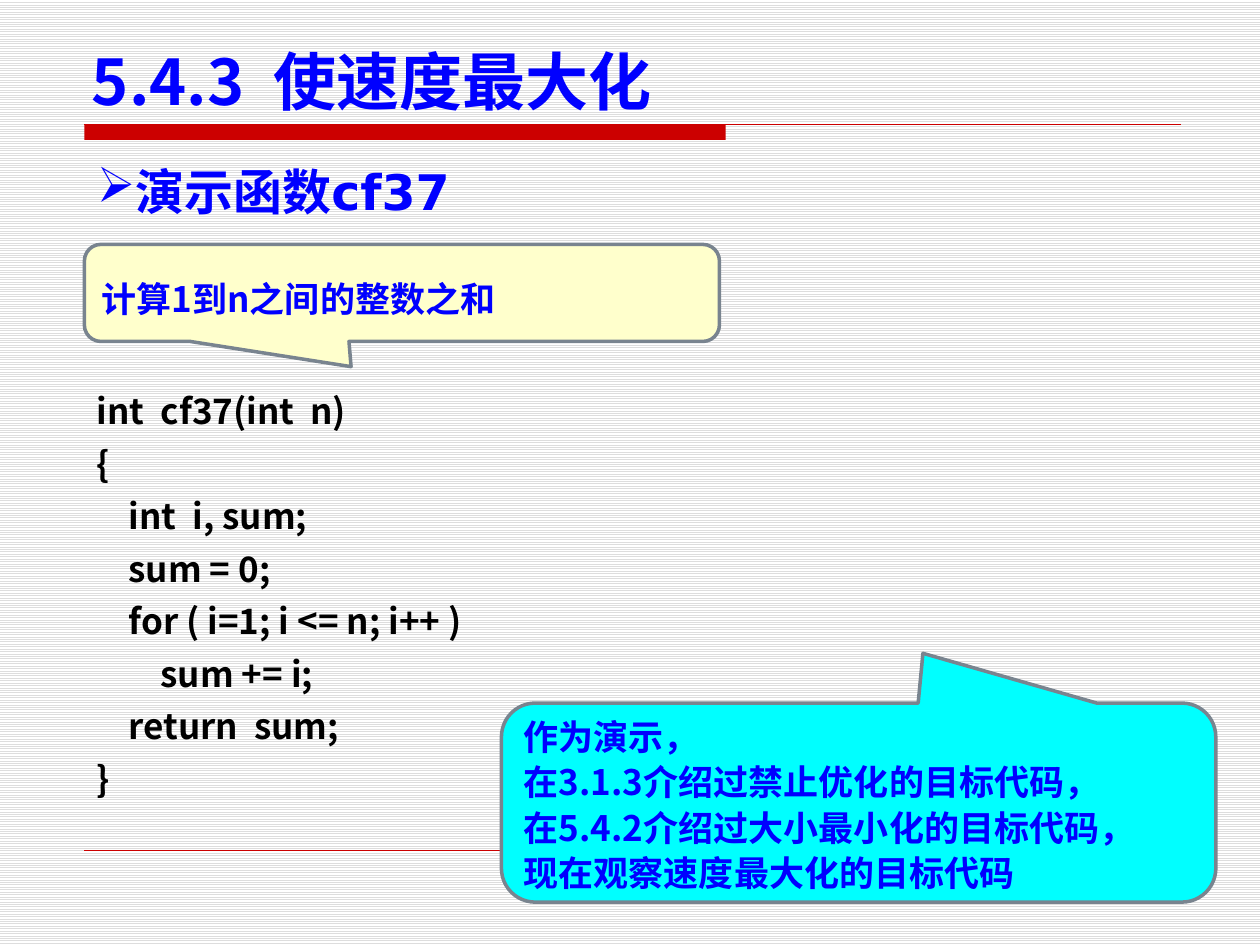
from lxml.etree import SubElement
from pptx import Presentation
from pptx.dml.color import RGBColor
from pptx.enum.dml import MSO_PATTERN
from pptx.enum.shapes import MSO_CONNECTOR, MSO_SHAPE
from pptx.enum.text import MSO_ANCHOR, MSO_AUTO_SIZE, PP_ALIGN
from pptx.oxml.ns import qn
from pptx.util import Inches, Pt

COLORS = {
    "red": "CC0000", "blue": "0000FF", "black": "000000", "white": "FFFFFF",
    "stripe": "DDDDDD", "yellow": "FFFFCC", "cyan": "00FFFF", "outline": "79848F",
}
SANS = "Noto Sans CJK SC"
LEFT = 0.67

TITLE = "5.4.3  使速度最大化"
HEADING = "演示函数cf37"
CODE = [
    "int  cf37(int  n)",
    "{",
    "    int  i, sum;",
    "    sum = 0;",
    "    for ( i=1; i <= n; i++ )",
    "        sum += i;",
    "    return  sum;",
    "}",
]
RULES = [(0.99, 9.37, 0.75), (6.75, 9.33, 0.25)]
CALLOUTS = [
    {"box": (LEFT, 1.94, 5.04, 0.77), "tail": (-0.08, 0.76, 0.17),
     "fill": "yellow", "spacing": 30, "lines": ["计算1到n之间的整数之和"]},
    {"box": (3.98, 5.58, 5.67, 1.58), "tail": (0.09, -0.75, 0.17),
     "fill": "cyan", "spacing": 26, "lines": [
         "作为演示，",
         "在3.1.3介绍过禁止优化的目标代码，",
         "在5.4.2介绍过大小最小化的目标代码，",
         "现在观察速度最大化的目标代码",
     ]},
]


def color(name):
    return RGBColor.from_string(COLORS[name])


def write(shape, lines, size, ink="blue", font=SANS, spacing=None,
          anchor=MSO_ANCHOR.TOP, align=PP_ALIGN.LEFT, bullet=None):
    frame = shape.text_frame
    frame_format = {"word_wrap": True, "auto_size": MSO_AUTO_SIZE.NONE,
                    "vertical_anchor": anchor}
    for name, value in frame_format.items():
        setattr(frame, name, value)
    for index, line in enumerate(lines):
        paragraph = frame.add_paragraph() if index else frame.paragraphs[0]
        paragraph.alignment = align
        if spacing:
            paragraph.line_spacing = Pt(spacing)
        if bullet:
            properties = paragraph._p.get_or_add_pPr()
            SubElement(properties, qn("a:buChar")).set("char", bullet)
        run = paragraph.add_run()
        run.text = line
        font_format = {"size": Pt(size), "bold": True, "name": font}
        for name, value in font_format.items():
            setattr(run.font, name, value)
        run.font.color.rgb = color(ink)
        SubElement(run._r.get_or_add_rPr(), qn("a:ea")).set("typeface", SANS)


def add_rule(slide, top, right, width):
    rule = slide.shapes.add_connector(
        MSO_CONNECTOR.STRAIGHT, *map(Inches, (LEFT, top, right, top)))
    rule.line.color.rgb = color("red")
    rule.line.width = Pt(width)
    SubElement(rule._element.spPr, qn("a:effectLst"))


def add_filled(slide, kind, box, fill):
    shape = slide.shapes.add_shape(kind, *map(Inches, box))
    shape.shadow.inherit = False
    shape.fill.solid()
    shape.fill.fore_color.rgb = color(fill)
    return shape


def add_callout(slide, callout):
    shape = add_filled(slide, MSO_SHAPE.ROUNDED_RECTANGULAR_CALLOUT,
                       callout["box"], callout["fill"])
    for index, value in enumerate(callout["tail"]):
        shape.adjustments[index] = value
    shape.line.color.rgb = color("outline")
    shape.line.width = Pt(2)
    write(shape, callout["lines"], 20, spacing=callout["spacing"],
          anchor=MSO_ANCHOR.MIDDLE)


def main():
    """Build the slide on maximising speed."""
    presentation = Presentation()
    presentation.slide_width = Inches(10)
    presentation.slide_height = Inches(7.5)
    slide = presentation.slides.add_slide(presentation.slide_layouts[5])

    background = slide.background.fill
    background.patterned()
    background.pattern = MSO_PATTERN.LIGHT_HORIZONTAL
    background.fore_color.rgb = color("stripe")
    background.back_color.rgb = color("white")

    bar = add_filled(slide, MSO_SHAPE.RECTANGLE, (LEFT, 0.99, 5.09, 0.12), "red")
    bar.line.fill.background()
    for rule in RULES:
        add_rule(slide, *rule)

    title = slide.shapes.title
    placement = {"left": 0.63, "top": 0.33, "width": 8.75, "height": 0.66}
    for name, value in placement.items():
        setattr(title, name, Inches(value))
    write(title, [TITLE], 36, anchor=MSO_ANCHOR.BOTTOM)

    heading = slide.shapes.add_textbox(*map(Inches, (LEFT, 1.23, 8.66, 0.57)))
    write(heading, [HEADING], 28, font="DejaVu Sans",
          align=PP_ALIGN.JUSTIFY, bullet="➢")
    code = slide.shapes.add_textbox(*map(Inches, (LEFT, 2.96, 4.96, 3.41)))
    write(code, CODE, 20, ink="black", spacing=30)
    for callout in CALLOUTS:
        add_callout(slide, callout)

    presentation.save("out.pptx")


if __name__ == "__main__":
    main()
